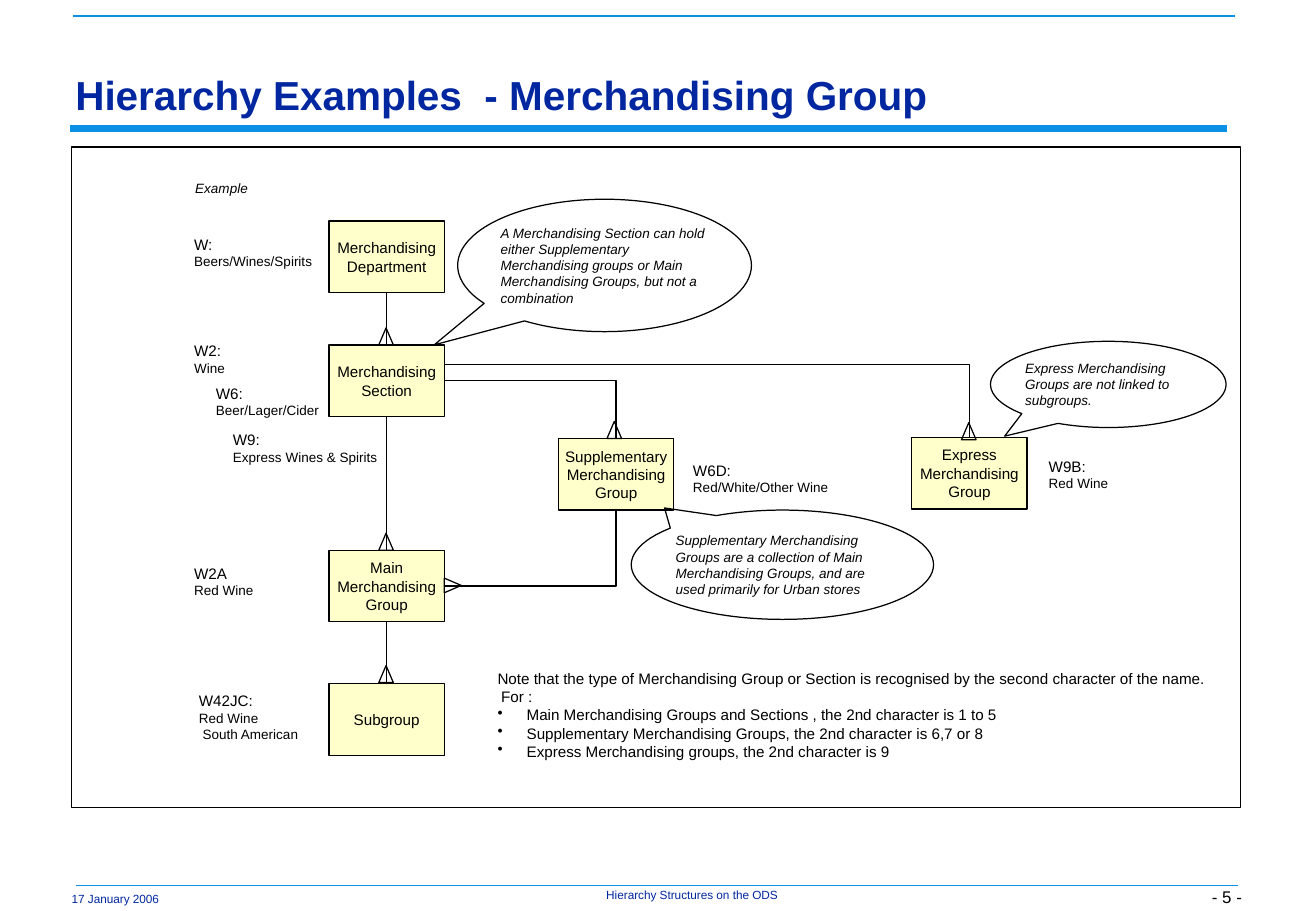
from dataclasses import dataclass

from lxml.etree import SubElement
from pptx import Presentation
from pptx.dml.color import RGBColor as RGB
from pptx.enum.shapes import MSO_CONNECTOR as LINK, MSO_SHAPE as SHAPE
from pptx.enum.text import MSO_ANCHOR as ANCHOR, MSO_AUTO_SIZE as AUTO, PP_ALIGN as ALIGN
from pptx.oxml.ns import qn
from pptx.util import Pt

EMU_PER_PX = 9144
TOP, BOTTOM, RIGHT = 0, 2, 3


@dataclass(frozen=True)
class Theme:
    font: str = "Arial"
    ink: RGB = RGB(0x00, 0x00, 0x00)
    navy: RGB = RGB(0x00, 0x27, 0x9F)
    sky: RGB = RGB(0x0A, 0x91, 0xE6)
    cream: RGB = RGB(0xFF, 0xFF, 0xCC)
    title: int = 24
    page: int = 10
    body: int = 9
    small: int = 8
    footer: int = 7
    outline: float = 0.75


T = Theme()


def px(*values):
    return [round(v * EMU_PER_PX) for v in values]


def apply(target, formats):
    for name, value in formats.items():
        setattr(target, name, value)


def set_frame(tf, inset=(10, 5), anchor=ANCHOR.MIDDLE):
    across, down = px(*inset)
    apply(tf, {
        "auto_size": AUTO.NONE, "word_wrap": True, "vertical_anchor": anchor,
        "margin_left": across, "margin_right": across,
        "margin_top": down, "margin_bottom": down,
    })


def add_line(tf, index, text, size, color=T.ink, align=ALIGN.LEFT,
             indent=0, bullet=False, **font):
    p = tf.paragraphs[0] if index == 0 else tf.add_paragraph()
    p.alignment = align
    if indent:
        props = p._p.get_or_add_pPr()
        margin = px(indent)[0]
        props.set("marL", str(margin))
        props.set("indent", str(-margin if bullet else 0))
        if bullet:
            SubElement(props, qn("a:buChar"), char="•")
    r = p.add_run()
    r.text = text
    apply(r.font, {"name": T.font, "size": Pt(size), **font})
    r.font.color.rgb = color
    return p


def add_text(s, at, lines, inset=(10, 5), anchor=ANCHOR.MIDDLE, **formats):
    box = s.shapes.add_textbox(*px(*at))
    set_frame(box.text_frame, inset, anchor)
    for i, line in enumerate(lines):
        add_line(box.text_frame, i, **{**formats, **line})


def add_label(s, left, top, width, code, *details):
    lines = [{"text": code, "size": T.body}]
    lines += [{"text": d, "indent": 3 * (i > 0)} for i, d in enumerate(details)]
    add_text(s, (left, top, width, 13 * len(lines) + 13), lines, size=T.small)


def add_outlined(s, kind, at, fill=None):
    sp = s.shapes.add_shape(kind, *px(*at))
    sp.shadow.inherit = False
    if fill is None:
        sp.fill.background()
    else:
        sp.fill.solid()
        sp.fill.fore_color.rgb = fill
    sp.line.color.rgb = T.ink
    sp.line.width = Pt(T.outline)
    return sp


def add_entity(s, left, top, *lines):
    sp = add_outlined(s, SHAPE.RECTANGLE, (left, top, 95, 59), T.cream)
    set_frame(sp.text_frame, (0, 5))
    for i, text in enumerate(lines):
        add_line(sp.text_frame, i, text, T.body, align=ALIGN.CENTER)
    return sp


def add_callout(s, at, tail, text):
    sp = add_outlined(s, SHAPE.OVAL_CALLOUT, at)
    for i, value in enumerate(tail):
        sp.adjustments[i] = value
    set_frame(sp.text_frame, (0, 5))
    add_line(sp.text_frame, 0, text, T.small, italic=True)


def add_crow_foot(s, left, top, rotation=0):
    add_outlined(s, SHAPE.ISOSCELES_TRIANGLE, (left, top, 12, 14)).rotation = rotation


def add_connector(s, kind, points, color=T.ink, width=T.outline):
    c = s.shapes.add_connector(kind, *px(*points))
    c.line.color.rgb = color
    c.line.width = Pt(width)
    SubElement(c._element.spPr, qn("a:effectLst"))
    return c


def add_elbow(s, points, end, start=None):
    c = add_connector(s, LINK.ELBOW, points)
    c._element.spPr.find(qn("a:prstGeom")).set("prst", "bentConnector2")
    if start is not None:
        c.begin_connect(start, RIGHT)
    c.end_connect(end, TOP)


def add_page_furniture(s):
    for left, right, y, width in ((58, 1011, 106, 4), (63, 1020, 729, 1), (60, 1017, 13, 1)):
        add_connector(s, LINK.STRAIGHT, (left, y, right, y), T.sky, width)
    add_text(s, (970, 711, 60, 39), [{"text": "- 5 -"}], (7, 3), ANCHOR.BOTTOM,
             size=T.page, align=ALIGN.RIGHT)
    small = {"size": T.footer, "color": T.navy}
    add_text(s, (494, 731, 152, 11), [{"text": "Hierarchy Structures on the ODS"}],
             (0, 0), ANCHOR.TOP, align=ALIGN.CENTER, **small)
    add_text(s, (59, 729, 100, 22), [{"text": "17 January 2006"}], (0, 5), **small)


def add_title(s, text):
    title = s.shapes.title
    apply(title, dict(zip(("left", "top", "width", "height"), px(55, 58, 963, 44))))
    set_frame(title.text_frame, (7, 3), ANCHOR.BOTTOM)
    p = add_line(title.text_frame, 0, text, T.title, T.navy, bold=True)
    p.line_spacing = 0.97


def add_hierarchy(s):
    department = add_entity(s, 271, 182, "Merchandising", "Department")
    section = add_entity(s, 271, 284, "Merchandising", "Section")
    main_group = add_entity(s, 271, 453, "Main", "Merchandising", "Group")
    subgroup = add_entity(s, 271, 563, "Subgroup")
    supplementary = add_entity(s, 460, 361, "Supplementary", "Merchandising", "Group")
    express = add_entity(s, 751, 360, "Express", "Merchandising", "Group")

    chain = (department, section, main_group, subgroup)
    for parent, child in zip(chain, chain[1:]):
        c = add_connector(s, LINK.STRAIGHT, (318, 182, 318, 284))
        c.begin_connect(parent, BOTTOM)
        c.end_connect(child, TOP)
    add_elbow(s, (366, 313, 507, 361), supplementary, section)
    c = add_connector(s, LINK.ELBOW, (366, 483, 507, 420))
    c._element.spPr.find(qn("a:prstGeom")).set("prst", "bentConnector2")
    c.begin_connect(main_group, RIGHT)
    c.end_connect(supplementary, BOTTOM)
    add_elbow(s, (366, 300, 798, 360), express)

    for foot in ((312, 270), (312, 439), (312, 548), (500, 347), (792, 348), (367, 475, 90)):
        add_crow_foot(s, *foot)


def add_examples(s):
    add_text(s, (140, 143, 85, 24), [{"text": "Example"}],
             size=T.small, italic=True, align=ALIGN.CENTER)
    for label in (
        (150, 188, 131, "W:", "Beers/Wines/Spirits"),
        (150, 276, 131, "W2:", "Wine"),
        (168, 311, 131, "W6:", "Beer/Lager/Cider"),
        (182, 349, 158, "W9:", "Express Wines & Spirits"),
        (150, 459, 131, "W2A", "Red Wine"),
        (154, 564, 131, "W42JC:", "Red Wine", "South American"),
        (561, 374, 159, "W6D:", "Red/White/Other Wine"),
        (854, 371, 159, "W9B:", "Red Wine"),
    ):
        add_label(s, *label)


def add_remarks(s):
    add_callout(s, (520, 420, 249, 90), (-0.39, -0.52),
                "Supplementary Merchandising Groups are a collection of Main "
                "Merchandising Groups, and are used primarily for Urban stores")
    add_callout(s, (377, 164, 242, 109), (-0.58, 0.6),
                "A Merchandising Section can hold either Supplementary Merchandising "
                "groups or Main Merchandising Groups, but not a combination")
    add_callout(s, (816, 281, 194, 71), (-0.44, 0.6),
                "Express Merchandising Groups are not linked to subgroups.")
    rules = ("Main Merchandising Groups and Sections , the 2nd character is 1 to 5",
             "Supplementary Merchandising Groups, the 2nd character is 6,7 or 8",
             "Express Merchandising groups, the 2nd character is 9")
    add_text(s, (400, 546, 620, 85), [
        {"text": "Note that the type of Merchandising Group or Section is recognised "
                 "by the second character of the name."},
        {"text": "For :", "indent": 3},
        *({"text": rule, "indent": 24, "bullet": True} for rule in rules),
    ], size=T.body)


def main():
    prs = Presentation()
    prs.slide_width, prs.slide_height = px(1084, 750)
    s = prs.slides.add_slide(prs.slide_layouts[5])
    add_page_furniture(s)
    add_outlined(s, SHAPE.RECTANGLE, (59, 121, 963, 544))
    add_title(s, "Hierarchy Examples  - Merchandising Group")
    add_hierarchy(s)
    add_examples(s)
    add_remarks(s)
    prs.save("out.pptx")


if __name__ == "__main__":
    main()
